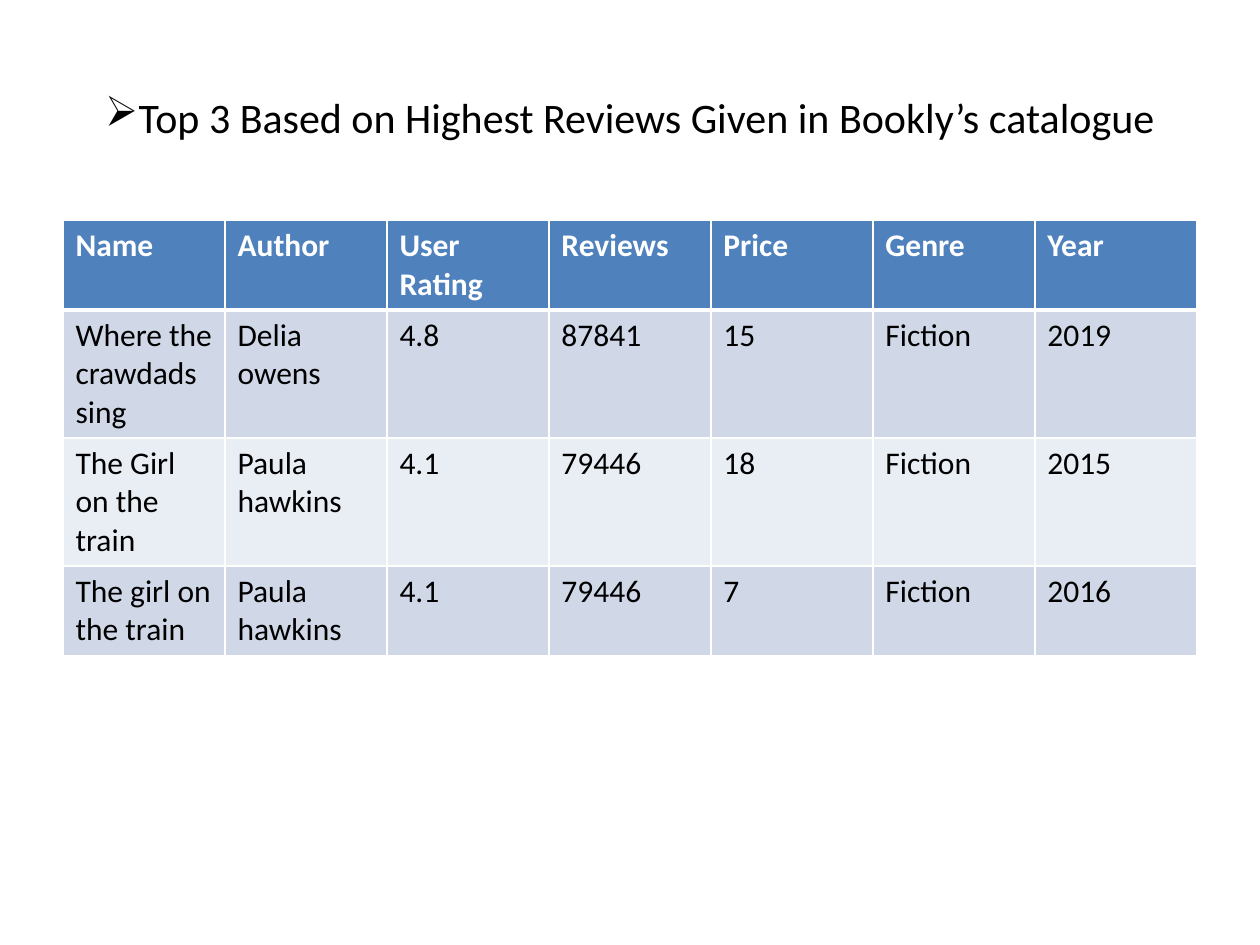
import dataclasses

import lxml.etree
import pptx
import pptx.dml.color
import pptx.enum.text
import pptx.oxml.ns
import pptx.util


@dataclasses.dataclass(frozen=True)
class Theme:
    font: str = "Calibri"
    title_size: int = 24
    table_size: int = 18
    text: str = "000000"
    header_text: str = "FFFFFF"
    header_fill: str = "4F81BD"
    band_fills: tuple = ("D0D8E8", "E9EDF4")
    rule: str = "FFFFFF"
    rule_width: int = 1
    header_rule_width: int = 3


THEME = Theme()
SLIDE_WIDTH = pptx.util.Inches(10)
SLIDE_HEIGHT = pptx.util.Inches(7.5)
MARGIN = pptx.util.Inches(0.5)
CONTENT_WIDTH = SLIDE_WIDTH - 2 * MARGIN
TITLE_BOX = (MARGIN, pptx.util.Inches(0.3), CONTENT_WIDTH, pptx.util.Inches(1.25))
ROW_HEIGHT = pptx.util.Inches(0.41)

TITLE = "Top 3 Based on Highest Reviews Given in Bookly’s catalogue"
BOOKS = [
    ("Name", "Author", "User Rating", "Reviews", "Price", "Genre", "Year"),
    ("Where the crawdads sing", "Delia owens", "4.8", "87841", "15", "Fiction", "2019"),
    ("The Girl on the train", "Paula hawkins", "4.1", "79446", "18", "Fiction", "2015"),
    ("The girl on the train", "Paula hawkins", "4.1", "79446", "7", "Fiction", "2016"),
]
TABLE_BOX = (MARGIN, pptx.util.Inches(1.75), CONTENT_WIDTH, ROW_HEIGHT * len(BOOKS))


def rgb(value):
    return pptx.dml.color.RGBColor.from_string(value)


def add_run(paragraph, text, size, color, bold=False):
    run = paragraph.add_run()
    run.text = text
    run.font.name = THEME.font
    run.font.size = pptx.util.Pt(size)
    run.font.bold = bold
    run.font.color.rgb = rgb(color)


def add_child(parent, tag, **attributes):
    return lxml.etree.SubElement(parent, pptx.oxml.ns.qn(tag), attributes)


def set_borders(cell, top, bottom):
    properties = cell._tc.get_or_add_tcPr()
    side = THEME.rule_width
    for tag, width in (("a:lnL", side), ("a:lnR", side), ("a:lnT", top), ("a:lnB", bottom)):
        line = add_child(properties, tag, w=str(pptx.util.Pt(width)))
        add_child(add_child(line, "a:solidFill"), "a:srgbClr", val=THEME.rule)


def place_title(title, box, text):
    title.left, title.top, title.width, title.height = box
    title.text_frame.vertical_anchor = pptx.enum.text.MSO_ANCHOR.MIDDLE
    heading = title.text_frame.paragraphs[0]
    heading.alignment = pptx.enum.text.PP_ALIGN.CENTER
    add_child(heading._p.get_or_add_pPr(), "a:buChar", char="➢")
    add_run(heading, text, THEME.title_size, THEME.text)


def fill_cell(cell, text, row):
    header = row == 0
    # Borders come before the fill in the cell's properties
    set_borders(
        cell,
        top=THEME.header_rule_width if row == 1 else THEME.rule_width,
        bottom=THEME.header_rule_width if header else THEME.rule_width,
    )
    cell.fill.solid()
    band = THEME.band_fills[(row - 1) % len(THEME.band_fills)]
    cell.fill.fore_color.rgb = rgb(THEME.header_fill if header else band)
    color = THEME.header_text if header else THEME.text
    add_run(cell.text_frame.paragraphs[0], text, THEME.table_size, color, header)


def add_book_table(slide, box, books):
    column_count = len(books[0])
    table = slide.shapes.add_table(len(books), column_count, *box).table
    for column in table.columns:
        column.width = box[2] // column_count
    for row, book in enumerate(books):
        for column, text in enumerate(book):
            fill_cell(table.cell(row, column), text, row)


def main():
    presentation = pptx.Presentation()
    presentation.slide_width = SLIDE_WIDTH
    presentation.slide_height = SLIDE_HEIGHT
    title_only = presentation.slide_layouts.get_by_name("Title Only")
    slide = presentation.slides.add_slide(title_only)

    # Heading
    place_title(slide.shapes.title, TITLE_BOX, TITLE)
    # Most reviewed books
    add_book_table(slide, TABLE_BOX, BOOKS)

    presentation.save("out.pptx")


if __name__ == "__main__":
    main()
